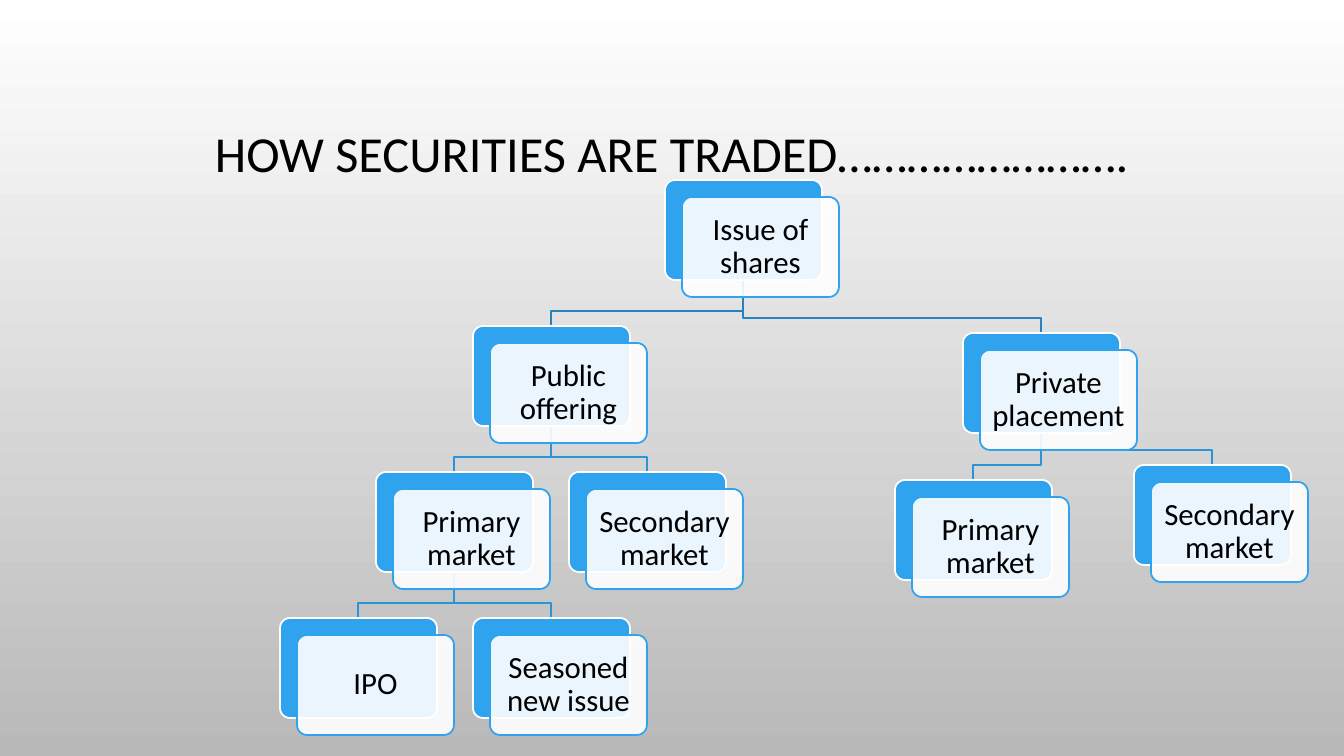
"""Build the slide on how securities are traded, as a tree of layered cards."""
from lxml.etree import SubElement
from pptx import Presentation
from pptx.dml.color import RGBColor
from pptx.enum.shapes import MSO_SHAPE
from pptx.enum.text import MSO_ANCHOR, PP_ALIGN
from pptx.oxml.ns import qn
from pptx.util import Pt

SCALE = 914400 / 100.8
BLACK = RGBColor(0x00, 0x00, 0x00)
WHITE = RGBColor(0xFF, 0xFF, 0xFF)
GREY = RGBColor(0xB9, 0xB9, 0xB9)
BLUE = RGBColor(0x2F, 0xA3, 0xEE)
TOP_LINK = RGBColor(0x26, 0x83, 0xBF)
LOWER_LINK = RGBColor(0x2B, 0x94, 0xD8)
CARD_WIDTH, CARD_HEIGHT, CARD_OFFSET, CARD_INSET = 157, 100, 17, 6
BEND_GAP = 15
LINE_WIDTH = Pt(1.25)

NODES = {
    "issue": ("Issue of shares", 665, 180, None),
    "public": ("Public offering", 473, 326, "issue"),
    "public primary": ("Primary market", 376, 472, "public"),
    "ipo": ("IPO", 280, 618, "public primary"),
    "seasoned": ("Seasoned new issue", 473, 618, "public primary"),
    "public secondary": ("Secondary market", 569, 472, "public"),
    "private": ("Private placement", 963, 333, "issue"),
    "private primary": ("Primary market", 895, 480, "private"),
    "private secondary": ("Secondary market", 1134, 465, "private"),
}


def emu(pixels):
    return round(pixels * SCALE)


def write(shape, text, size, inset):
    frame = shape.text_frame
    frame_format = {"word_wrap": True, "vertical_anchor": MSO_ANCHOR.MIDDLE}
    for side in ("left", "right", "top", "bottom"):
        frame_format[f"margin_{side}"] = emu(inset)
    for name, value in frame_format.items():
        setattr(frame, name, value)
    paragraph = frame.paragraphs[0]
    paragraph.text = text
    paragraph.alignment = PP_ALIGN.CENTER
    paragraph.line_spacing = 0.9
    font = paragraph.runs[0].font
    for name, value in {"name": "Calibri", "size": Pt(size)}.items():
        setattr(font, name, value)
    font.color.rgb = BLACK


presentation = Presentation()
presentation.slide_width, presentation.slide_height = emu(1344), emu(756)
slide = presentation.slides.add_slide(presentation.slide_layouts[5])

background = slide.background.fill
background.gradient()
background.gradient_angle = 270
for stop, color, position in zip(background.gradient_stops, (WHITE, GREY), (0, 1)):
    stop.color.rgb = color
    stop.position = position

title = slide.shapes.title
title_place = {"left": 101, "top": 68, "width": 1142, "height": 176}
for name, value in title_place.items():
    setattr(title, name, emu(value))
write(title, "HOW SECURITIES ARE TRADED" + "…" * 8 + ".", 36, 10)

for text, left, top, parent in NODES.values():
    if parent is None:
        continue
    parent_left, parent_top = NODES[parent][1:3]
    start_x = parent_left + CARD_WIDTH // 2
    start_y = parent_top + CARD_HEIGHT
    end_x = left + CARD_WIDTH // 2
    bend_y = top - BEND_GAP
    builder = slide.shapes.build_freeform(start_x, start_y, scale=SCALE)
    builder.add_line_segments([(start_x, bend_y), (end_x, bend_y), (end_x, top)], close=False)
    link = builder.convert_to_shape()
    link.shadow.inherit = False
    link.fill.background()
    link.line.color.rgb = TOP_LINK if parent == "issue" else LOWER_LINK
    link.line.width = LINE_WIDTH

for text, left, top, parent in NODES.values():
    for offset, fill, outline in ((0, BLUE, WHITE), (CARD_OFFSET, WHITE, BLUE)):
        card = slide.shapes.add_shape(
            MSO_SHAPE.ROUNDED_RECTANGLE,
            emu(left + offset), emu(top + offset), emu(CARD_WIDTH), emu(CARD_HEIGHT),
        )
        card.adjustments[0] = 0.1
        card.shadow.inherit = False
        card.fill.solid()
        card.fill.fore_color.rgb = fill
        card.line.color.rgb = outline
        card.line.width = LINE_WIDTH
    front_color = card.fill._xPr.find(qn("a:solidFill")).find(qn("a:srgbClr"))
    SubElement(front_color, qn("a:alpha"), val="90000")
    write(card, text, 22, CARD_INSET)

presentation.save("out.pptx")
